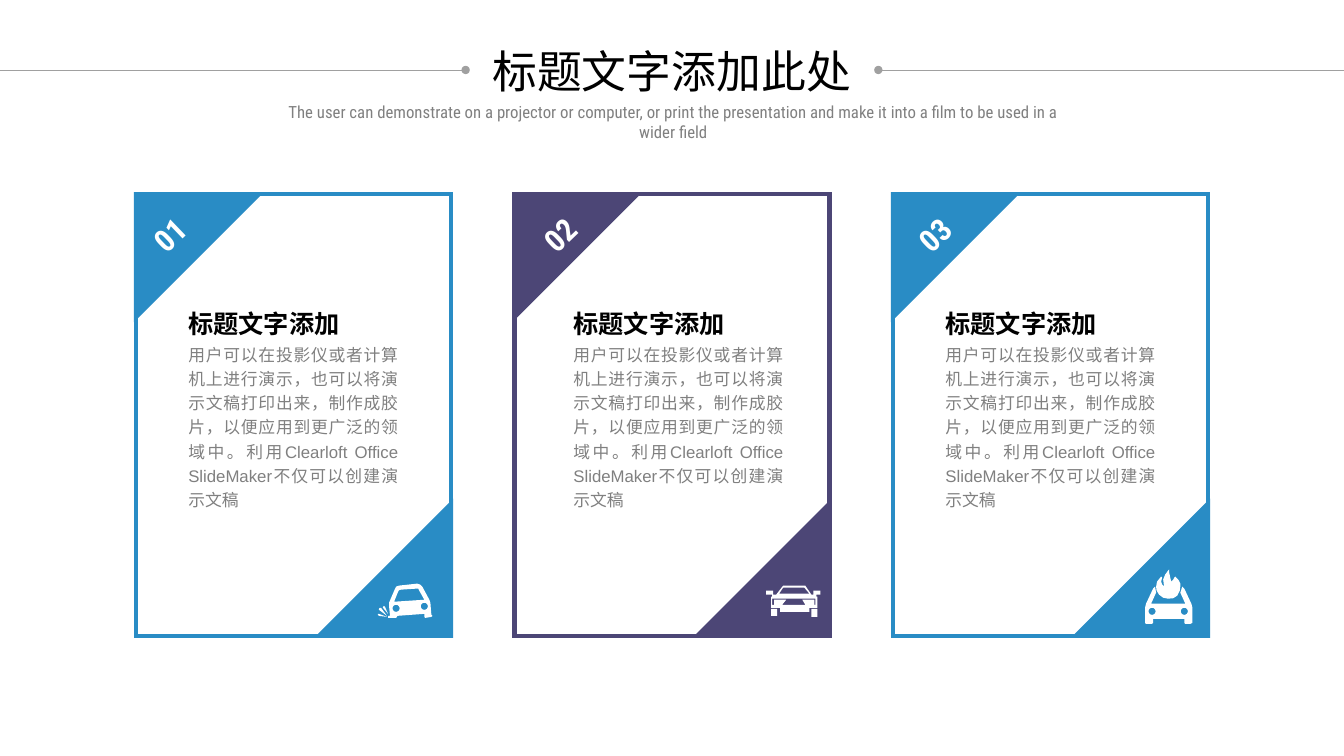
"""Build a slide with three numbered cards, each with a car icon."""
from math import cos, pi, sin

from lxml import etree
from pptx import Presentation
from pptx.dml.color import RGBColor
from pptx.enum.shapes import MSO_CONNECTOR, MSO_SHAPE
from pptx.enum.text import MSO_AUTO_SIZE, PP_ALIGN
from pptx.oxml.ns import qn
from pptx.util import Pt

RECT, TRIANGLE = MSO_SHAPE.RECTANGLE, MSO_SHAPE.RIGHT_TRIANGLE
STRAIGHT = MSO_CONNECTOR.STRAIGHT
CENTER, JUSTIFY = PP_ALIGN.CENTER, PP_ALIGN.JUSTIFY
GROW = MSO_AUTO_SIZE.SHAPE_TO_FIT_TEXT

WHITE, BLACK, GRAY, RULE = "FFFFFF", "000000", "808080", "A0A0A0"
BLUE, PURPLE = "298CC5", "4C4676"
HEAD_FONT, BODY_FONT = "Roboto Condensed", "Arial"
SLIDE_W, SLIDE_H = 960, 540

TITLE = "标题文字添加此处"
SUBTITLE = ("The user can demonstrate on a projector or computer, or print the "
            "presentation and make it into a film to be used in a wider field")
CARD_TITLE = "标题文字添加"
CARD_BODY = ("用户可以在投影仪或者计算机上进行演示，也可以将演示文稿打印出来，"
             "制作成胶片，以便应用到更广泛的领域中。利用Clearloft Office "
             "SlideMaker不仅可以创建演示文稿")


def box(x1, y1, x2, y2):
    return [(x1, y1), (x2, y1), (x2, y2), (x1, y2)]


def disc(cx, cy, r, steps=20):
    turns = [2 * pi * i / steps for i in range(steps)]
    return [(cx + r * cos(t), cy + r * sin(t)) for t in turns]


SKID_CAR = [
    [(1, 30), (9, 33), (1, 32), (0, 31), (0, 30)],
    [(10, 30), (7, 23), (6, 22), (5, 23), (5, 24)],
    [(2, 24), (1, 25), (1, 26), (9, 32), (3, 24)],
    [(53, 33), (47, 34), (46, 33), (46, 30), (19, 32), (19, 33), (18, 34),
     (10, 34), (10, 32), (12, 32), (11, 22), (11, 19), (17, 5), (18, 3), (21, 2),
     (39, 0), (42, 1), (44, 3), (51, 16), (52, 19), (53, 31), (54, 32)],
    [(16, 18), (46, 16), (41, 7), (40, 5), (38, 5), (23, 6), (21, 6.5), (20, 8)],
    disc(18, 24.5, 3.5),
    disc(46, 22.5, 3.5),
]
FRONT_CAR = [
    box(45, 23, 51, 31),
    box(5, 23, 11, 30),
    box(14, 22, 43, 26),
    [(36, 14), (48, 14), (48, 19), (39, 19)],
    [(8, 14), (20, 14), (16, 19), (8, 19)],
    box(6, 13, 49, 19),
    [(17, 2), (13, 8), (43, 8), (38, 2)],
    [(17, 0), (39, 0), (45, 9), (47, 9), (47, 5), (54, 5), (54, 9), (50, 9),
     (50, 11), (51, 11), (51, 22), (5, 22), (5, 11), (6, 11), (6, 9), (0, 9),
     (0, 5), (7, 5), (7, 9), (10, 9)],
]
FIRE_CAR = [
    [(46, 34), (39, 19), (37, 17), (35, 23), (40, 34), (6, 34), (11, 23),
     (10, 17), (8, 19), (1, 34), (0, 38), (0, 53), (1, 54), (7, 54), (8, 53),
     (8, 49), (39, 49), (39, 53), (40, 54), (45, 54), (47, 53), (47, 38)],
    disc(7, 41.5, 3.5),
    disc(39, 41.5, 3.5),
    [(11, 17), (12, 12), (16, 7), (17, 8), (16, 12), (17, 15), (19, 17), (18, 10),
     (20, 5), (23, 1), (24, 0), (24, 3), (25, 8), (26, 12), (28, 10), (29, 8),
     (30, 7), (33, 10), (35, 14), (35, 17), (34.5, 21), (32, 26), (28, 28.5),
     (23, 29), (18, 28), (14, 25), (11.5, 21)],
]

# number, colour, number left, text left, icon, icon left, icon top
CARDS = [
    ("01", BLUE, 102.2, 127.4, SKID_CAR, 270, 416.9),
    ("02", PURPLE, 380.9, 402.5, FRONT_CAR, 547.2, 418.3),
    ("03", BLUE, 648.7, 668.2, FIRE_CAR, 817.9, 406.8),
]
CARD_X, CARD_Y, CARD_W, CARD_H, PITCH = 97.2, 138.7, 225, 315.4, 270.3
TOP_TRI, LOW_TRI = 87.8, 94.3
ICON_UNIT = 0.72
RULE_Y, RULE_W = 50, 332.6


def rgb(color):
    return RGBColor.from_string(color)


def add_text(s, text, x, y, w, h, size, color, font=HEAD_FONT, bold=False,
             align=CENTER, spacing=None, wrap=False, rotation=0):
    tb = s.shapes.add_textbox(Pt(x), Pt(y), Pt(w), Pt(h))
    tb.rotation = rotation
    tf = tb.text_frame
    tf.word_wrap = wrap
    if rotation:
        tf.margin_left = tf.margin_right = 0
    else:
        tf.auto_size = GROW
    p = tf.paragraphs[0]
    p.alignment = align
    if spacing:
        p.line_spacing = spacing
    r = p.add_run()
    r.text = text
    r.font.name, r.font.size, r.font.bold = font, Pt(size), bold
    r.font.color.rgb = rgb(color)


def add_panel(s, kind, x, y, w, h, color, filled=True, rotation=0):
    sp = s.shapes.add_shape(kind, Pt(x), Pt(y), Pt(w), Pt(h))
    sp.shadow.inherit = False
    sp.rotation = rotation
    if filled:
        sp.fill.solid()
        sp.fill.fore_color.rgb = rgb(color)
    else:
        sp.fill.background()
    sp.line.color.rgb = rgb(color)
    sp.line.width = Pt(3)
    etree.SubElement(sp.line._get_or_add_ln(), qn("a:miter"), lim="800000")


def add_icon(s, contours, left, top):
    placed = [[(Pt(left + x * ICON_UNIT), Pt(top + y * ICON_UNIT)) for x, y in c]
              for c in contours]
    fb = s.shapes.build_freeform(*placed[0][0])
    for i, points in enumerate(placed):
        if i:
            fb.move_to(*points[0])
        fb.add_line_segments(points[1:], close=True)
    sp = fb.convert_to_shape()
    sp.shadow.inherit = False
    sp.fill.solid()
    sp.fill.fore_color.rgb = rgb(WHITE)
    sp.line.fill.background()


def add_rule(s, x1, x2, end):
    c = s.shapes.add_connector(STRAIGHT, Pt(x1), Pt(RULE_Y), Pt(x2), Pt(RULE_Y))
    c.line.color.rgb = rgb(RULE)
    c.line.width = Pt(0.5)
    etree.SubElement(c.line._get_or_add_ln(), qn(end), type="oval")
    etree.SubElement(c._element.spPr, qn("a:effectLst"))


def add_card(s, x, number, color, number_x, icon, icon_x, icon_y):
    add_panel(s, RECT, x, CARD_Y, CARD_W, CARD_H, color, filled=False)
    add_panel(s, TRIANGLE, x, CARD_Y, TOP_TRI, TOP_TRI, color, rotation=90)
    add_panel(s, TRIANGLE, x + CARD_W - LOW_TRI, CARD_Y + CARD_H - LOW_TRI,
              LOW_TRI, LOW_TRI, color, rotation=270)
    add_text(s, number, number_x, 151.2, 34.6, 29.5, 22.2, WHITE, bold=True,
             wrap=True, rotation=316.2)
    add_icon(s, icon, icon_x, icon_y)


def main():
    prs = Presentation()
    prs.slide_width, prs.slide_height = Pt(SLIDE_W), Pt(SLIDE_H)
    s = prs.slides.add_slide(prs.slide_layouts[6])
    s.background.fill.solid()
    s.background.fill.fore_color.rgb = rgb(WHITE)
    for i, (number, color, number_x, _, icon, icon_x, icon_y) in enumerate(CARDS):
        add_card(s, CARD_X + i * PITCH, number, color, number_x, icon, icon_x, icon_y)
    add_rule(s, 0, RULE_W, "a:tailEnd")
    add_rule(s, SLIDE_W - RULE_W, SLIDE_W, "a:headEnd")
    add_text(s, TITLE, 343.4, 27.4, 272.9, 46.1, 32, BLACK)
    add_text(s, SUBTITLE, 198, 69.1, 565.9, 21.6, 12, GRAY, wrap=True)
    for card in CARDS:
        text_x = card[3]
        add_text(s, CARD_BODY, text_x, 239.8, 164.2, 129.6, 12, GRAY, BODY_FONT,
                 align=JUSTIFY, spacing=1.2, wrap=True)
        add_text(s, CARD_TITLE, text_x, 212.4, 164.2, 33.8, 18, BLACK, BODY_FONT,
                 bold=True, align=JUSTIFY, spacing=1.2, wrap=True)
    prs.save("out.pptx")


if __name__ == "__main__":
    main()
